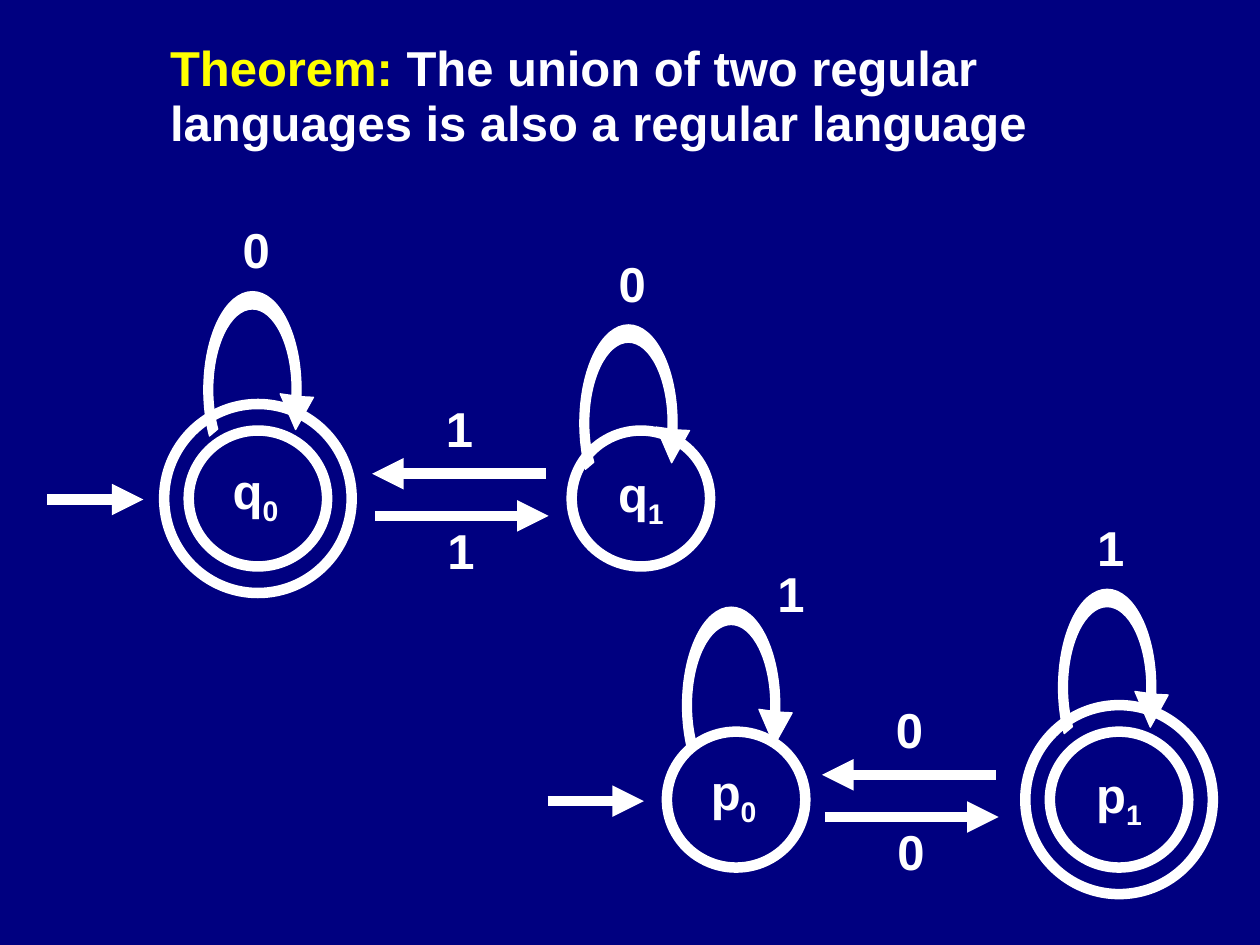
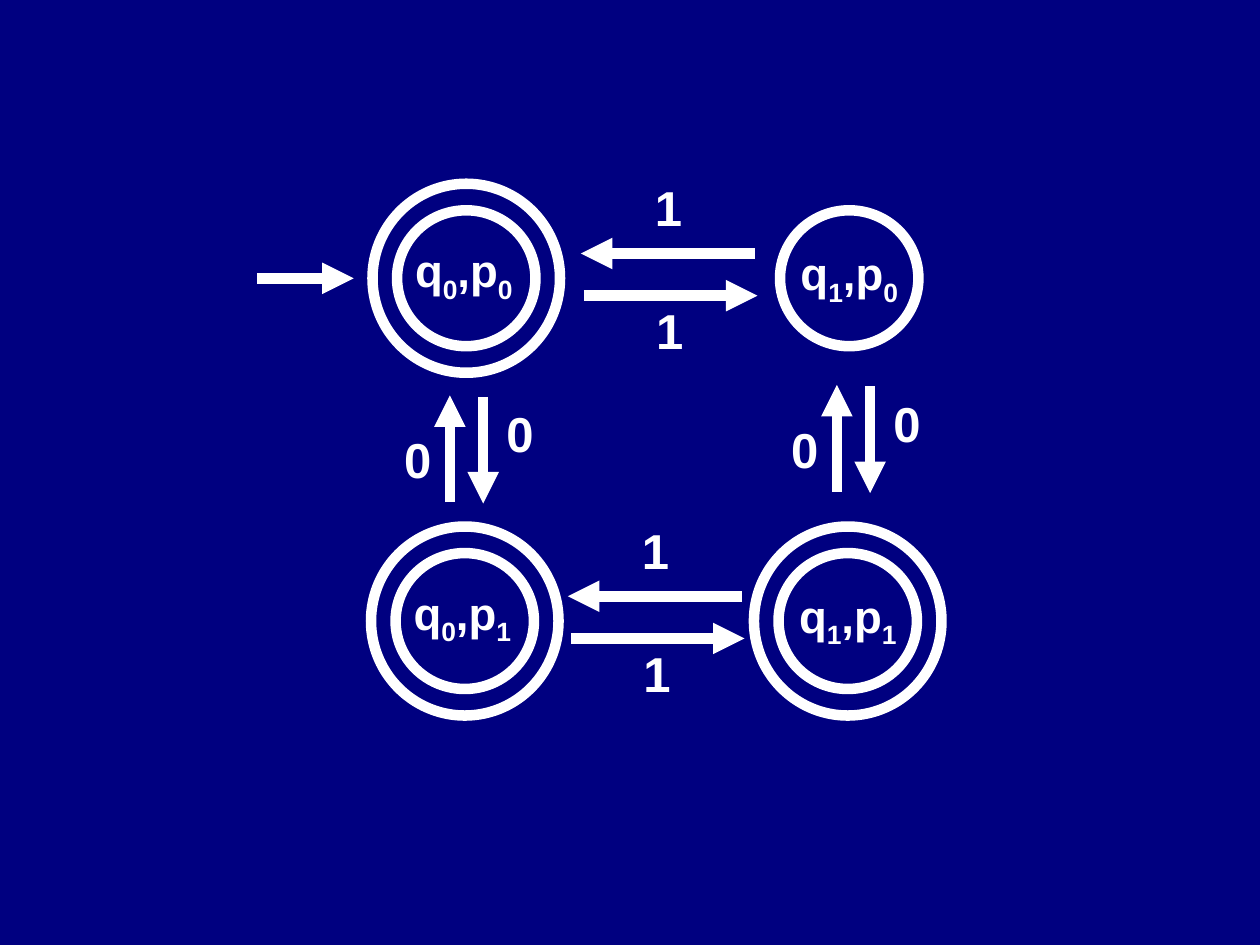
from itertools import groupby, pairwise
from math import cos, radians, sin, tan

from lxml import etree
from pptx import Presentation
from pptx.dml.color import RGBColor
from pptx.enum.shapes import MSO_CONNECTOR, MSO_SHAPE
from pptx.enum.text import MSO_AUTO_SIZE, PP_ALIGN
from pptx.oxml.ns import qn
from pptx.util import Cm, Pt

NAVY = RGBColor(0x00, 0x00, 0x80)
WHITE = RGBColor(0xFF, 0xFF, 0xFF)
YELLOW = RGBColor(0xFF, 0xFF, 0x00)
OVAL = MSO_SHAPE.OVAL
STRAIGHT = MSO_CONNECTOR.STRAIGHT
GROW = MSO_AUTO_SIZE.SHAPE_TO_FIT_TEXT
LEFT = PP_ALIGN.LEFT
CENTER = PP_ALIGN.CENTER

FONT = "Arial"
STROKE = Pt(6)
STATE_GAP = 7.72
INNER = (2.79, 2.74)
OUTER = (3.78, 3.81)


def new_slide(prs):
    s = prs.slides.add_slide(prs.slide_layouts[6])
    s.background.fill.solid()
    s.background.fill.fore_color.rgb = NAVY
    return s


def add_text(shapes, x, y, w, h, runs, size=28, align=CENTER, wrap=False):
    tf = shapes.add_textbox(Cm(x), Cm(y), Cm(w), Cm(h)).text_frame
    tf.word_wrap = wrap
    tf.auto_size = GROW
    p = tf.paragraphs[0]
    p.alignment = align
    p.line_spacing = 0.93
    for text, color, subscript in runs:
        r = p.add_run()
        r.text = text
        r.font.name = FONT
        r.font.size = Pt(size)
        r.font.bold = True
        r.font.color.rgb = color
        if subscript:
            r.font._element.set("baseline", "-25000")


def add_symbol(shapes, cx, cy, text):
    w, h = 1.04, 1.37
    add_text(shapes, cx - w / 2, cy - h / 2, w, h, [(text, WHITE, False)])


def add_arrow(shapes, x1, y1, x2, y2):
    c = shapes.add_connector(STRAIGHT, Cm(x1), Cm(y1), Cm(x2), Cm(y2))
    c.line.color.rgb = WHITE
    c.line.width = STROKE
    etree.SubElement(c.line._get_or_add_ln(), qn("a:tailEnd"), type="triangle")
    etree.SubElement(c._element.spPr, qn("a:effectLst"))


def add_ring(shapes, cx, cy, w, h):
    sp = shapes.add_shape(OVAL, Cm(cx - w / 2), Cm(cy - h / 2), Cm(w), Cm(h))
    sp.shadow.inherit = False
    sp.fill.background()
    sp.line.color.rgb = WHITE
    sp.line.width = STROKE


def add_state(shapes, cx, cy, name, accepting, shift, lift):
    add_ring(shapes, cx, cy, *INNER)
    if accepting:
        add_ring(shapes, cx, cy, *OUTER)
    w, h, size = (2.5, 1.42, 26) if "," in name else (1.42, 1.52, 28)
    runs = [("".join(chars), WHITE, digit) for digit, chars in groupby(name, str.isdigit)]
    add_text(shapes, cx - shift - w / 2, cy - lift - h / 2, w, h, runs, size=size)


def add_state_row(shapes, cx, cy, names, accepting):
    for i, (shift, lift) in enumerate(((0.05, 0.14), (0, 0.08))):
        add_state(shapes, cx + i * STATE_GAP, cy, names[i], accepting[i], shift, lift)


def add_start(shapes, tip, y):
    add_arrow(shapes, tip - 1.94, y, tip, y)


def add_row_moves(shapes, x, cy, symbol):
    length = 3.5
    add_arrow(shapes, x + length, cy - 0.5, x, cy - 0.5)
    add_arrow(shapes, x + 0.06, cy + 0.35, x + 0.06 + length, cy + 0.35)
    add_symbol(shapes, x + 1.76, cy - 1.36, symbol)
    add_symbol(shapes, x + 1.79, cy + 1.11, symbol)


def add_column_moves(shapes, x, y, symbol):
    length = 2.15
    add_arrow(shapes, x, y + length, x, y)
    add_arrow(shapes, x + 0.67, y + 0.03, x + 0.67, y + 0.03 + length)
    add_symbol(shapes, x - 0.65, y + 1.36, symbol)
    add_symbol(shapes, x + 1.41, y + 0.83, symbol)


def arc_curves(cx, cy, rx, ry, angles):
    def spot(t, pull=0):
        return (cx + rx * (cos(t) - pull * sin(t)),
                cy - ry * (sin(t) + pull * cos(t)))

    curves = []
    for a, b in pairwise(map(radians, angles)):
        k = 4 / 3 * tan((b - a) / 4)
        curves.append([spot(a, k), spot(b, -k), spot(b)])
    return spot(radians(angles[0])), curves


def add_loop(shapes, x, y, symbol, symbol_at=(1.05, -0.78)):
    start, inner = arc_curves(0.98, 1.98, 0.8, 1.63, (-4, 0, 90, 180, 209))
    edge, outer = arc_curves(0.98, 1.98, 0.98, 1.98, (208, 180, 90, 0, -4))
    head = [[(2.21, 2.13)], [(1.85, 2.78)], [(1.54, 2.06)]]
    steps = inner + [[edge]] + outer + head
    builder = shapes.build_freeform(Cm(x + start[0]), Cm(y + start[1]))
    builder.add_line_segments(
        [(Cm(x + step[-1][0]), Cm(y + step[-1][1])) for step in steps], close=True)
    sp = builder.convert_to_shape()
    for segment, step in zip(list(sp._element.iter(qn("a:lnTo"))), steps):
        if len(step) == 3:
            curve = etree.Element(qn("a:cubicBezTo"))
            for px, py in step:
                etree.SubElement(curve, qn("a:pt"), x=str(Cm(px)), y=str(Cm(py)))
            segment.getparent().replace(segment, curve)
    sp.shadow.inherit = False
    sp.fill.solid()
    sp.fill.fore_color.rgb = WHITE
    sp.line.color.rgb = WHITE
    sp.line.width = Pt(0.75)
    add_symbol(shapes, x + symbol_at[0], y + symbol_at[1], symbol)


def build_q_machine(shapes, cx, cy):
    add_state_row(shapes, cx, cy, ("q0", "q1"), (True, False))
    add_start(shapes, cx - 2.31, cy + 0.02)
    add_row_moves(shapes, cx + 2.3, cy, "1")
    add_loop(shapes, cx - 1.09, cy - 4.17, "0")
    add_loop(shapes, cx + STATE_GAP - 1.23, cy - 3.5, "0")


def build_p_machine(shapes, cx, cy):
    add_state_row(shapes, cx, cy, ("p0", "p1"), (False, True))
    add_start(shapes, cx - 1.86, cy + 0.03)
    add_row_moves(shapes, cx + 1.73, cy, "0")
    add_loop(shapes, cx - 1.08, cy - 3.88, "1", symbol_at=(2.18, -0.22))
    add_loop(shapes, cx + STATE_GAP - 1.22, cy - 4.24, "1")


def build_union_machine(shapes, cx, cy):
    below = cy + 6.91
    add_state_row(shapes, cx, cy, ("q0,p0", "q1,p0"), (True, False))
    add_state_row(shapes, cx - 0.03, below, ("q0,p1", "q1,p1"), (True, True))
    add_start(shapes, cx - 2.27, cy)
    add_row_moves(shapes, cx + 2.31, cy, "1")
    add_row_moves(shapes, cx + 2.05, below, "1")
    add_column_moves(shapes, cx - 0.33, cy + 2.36, "0")
    add_column_moves(shapes, cx + STATE_GAP - 0.25, cy + 2.15, "0")


def theorem_slide(prs):
    s = new_slide(prs)
    add_text(s.shapes, 3.18, 0.74, 18.49, 2.46, [
        ("Theorem:", YELLOW, False),
        (" The union of two regular languages is also a regular language", WHITE, False),
    ], align=LEFT, wrap=True)
    build_q_machine(s.shapes.add_group_shape().shapes, 5.2, 10.05)
    build_p_machine(s.shapes.add_group_shape().shapes, 14.84, 16.12)


def union_slide(prs):
    s = new_slide(prs)
    build_union_machine(s.shapes, 9.4, 5.61)


prs = Presentation()
prs.slide_width = Cm(25.4)
prs.slide_height = Cm(19.05)
theorem_slide(prs)
union_slide(prs)
prs.save("out.pptx")
